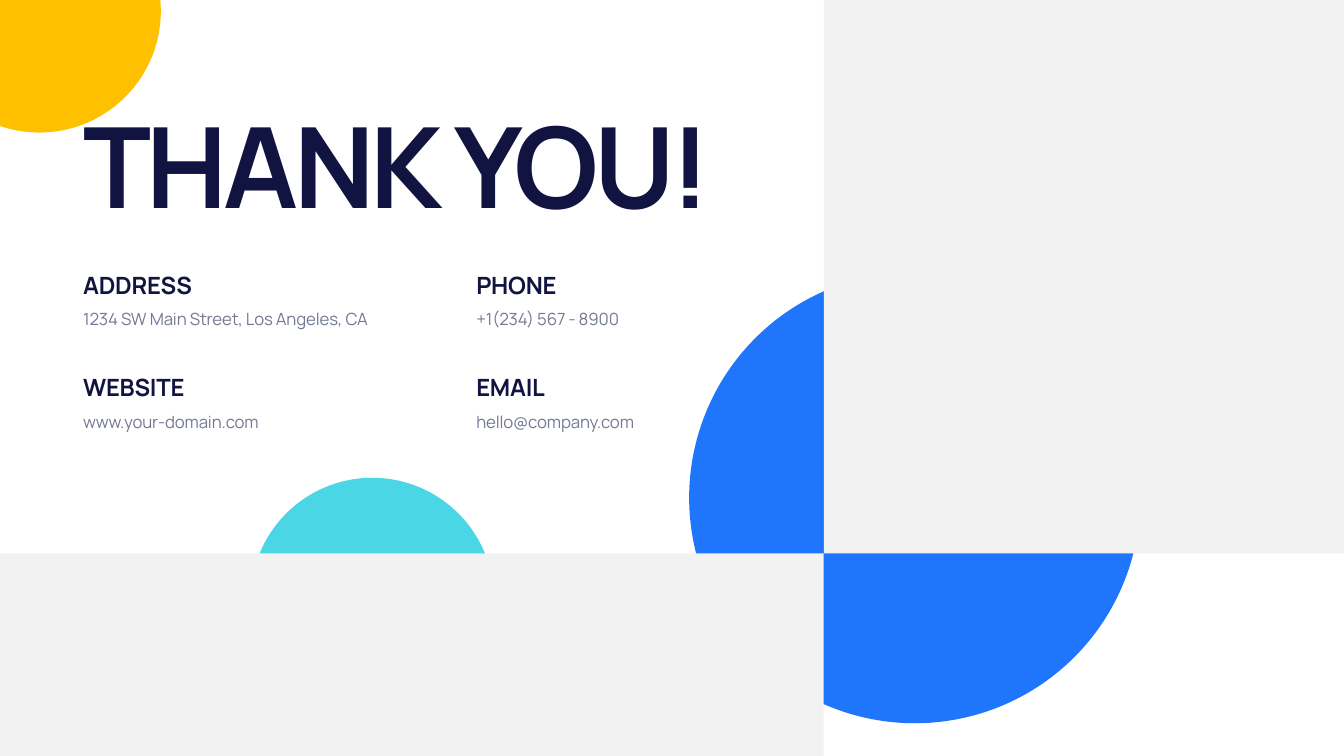
from dataclasses import dataclass
from math import acos, asin, cos, sin

from pptx import Presentation
from pptx.dml.color import RGBColor as RGB
from pptx.enum.shapes import MSO_SHAPE as Preset
from pptx.enum.text import MSO_ANCHOR as Anchor, MSO_AUTO_SIZE as AutoSize, PP_ALIGN as Align
from pptx.util import Inches, Pt


@dataclass(frozen=True)
class TextStyle:
    size: int
    color: str
    bold: bool
    tracking: float  # points
    anchor: Anchor
    inset: float  # inches above and below the text
    leading: int | None = None


@dataclass(frozen=True)
class Theme:
    font: str = "Manrope"
    paper: str = "FFFFFF"
    panel: str = "F2F2F2"
    blue: str = "2075FD"
    yellow: str = "FFC000"
    cyan: str = "4BD6E5"
    title: TextStyle = TextStyle(160, "111340", True, -6, Anchor.BOTTOM, 0)
    label: TextStyle = TextStyle(34, "111340", True, -0.3, Anchor.BOTTOM, 0)
    detail: TextStyle = TextStyle(24, "747994", False, -0.2, Anchor.TOP, 0.05, 36)


@dataclass(frozen=True)
class Box:
    left: float
    top: float
    width: float
    height: float


@dataclass(frozen=True)
class Contact:
    label: str
    detail: str
    column: int
    row: int


THEME = Theme()
WIDTH, HEIGHT = 26.66, 15
SPLIT_X, SPLIT_Y = 16.34, 10.98  # where the four quarters meet
COLUMNS = ((1.55, 6.21), (9.35, 4.4))  # left, width
FIRST_ROW, ROW_PITCH, DETAIL_OFFSET = 5.26, 2.04, 0.72
CONTACTS = (
    Contact("ADDRESS", "1234 SW Main Street, Los Angeles, CA", 0, 0),
    Contact("PHONE", "+1(234) 567 - 8900", 1, 0),
    Contact("WEBSITE", "www.your-domain.com", 0, 1),
    Contact("EMAIL", "hello@company.com", 1, 1),
)


def place(shape, box: Box) -> None:
    shape.left, shape.top = Inches(box.left), Inches(box.top)
    shape.width, shape.height = Inches(box.width), Inches(box.height)


def paint(shape, color: str) -> None:
    shape.shadow.inherit = False
    shape.fill.solid()
    shape.fill.fore_color.rgb = RGB.from_string(color)
    shape.line.fill.background()


def draw_preset(slide, preset: Preset, box: Box, color: str) -> None:
    shape = slide.shapes.add_shape(preset, 0, 0, 0, 0)
    place(shape, box)
    paint(shape, color)


def draw_corner_disc(slide, x: float, y: float, radius: float, color: str, steps: int = 120) -> None:
    """Draw the part of a disc that lies inside the top left corner."""
    start, end = -asin(y / radius), acos(-x / radius)
    angles = [start + (end - start) * step / steps for step in range(steps + 1)]
    rim = [(x + radius * cos(angle), y + radius * sin(angle)) for angle in angles]
    builder = slide.shapes.build_freeform(0, 0, scale=Inches(1) / 1000)
    builder.add_line_segments([(round(px * 1000), round(py * 1000)) for px, py in rim])
    paint(builder.convert_to_shape(), color)


def write(shape, box: Box, text: str, style: TextStyle) -> None:
    place(shape, box)
    frame = shape.text_frame
    frame.word_wrap = True
    frame.auto_size = AutoSize.SHAPE_TO_FIT_TEXT
    frame.vertical_anchor = style.anchor
    frame.margin_top = frame.margin_bottom = Inches(style.inset)
    paragraph = frame.paragraphs[0]
    paragraph.alignment = Align.LEFT
    if style.leading:
        paragraph.line_spacing = Pt(style.leading)
    run = paragraph.add_run()
    run.text = text
    run.font.name, run.font.size, run.font.bold = THEME.font, Pt(style.size), style.bold
    run.font.color.rgb = RGB.from_string(style.color)
    run._r.get_or_add_rPr().set("spc", str(round(style.tracking * 100)))


def draw_contact(slide, contact: Contact) -> None:
    left, width = COLUMNS[contact.column]
    top = FIRST_ROW + contact.row * ROW_PITCH
    label = slide.shapes.add_textbox(0, 0, 0, 0)
    write(label, Box(left, top, width, 0.67), contact.label, THEME.label)
    detail = slide.shapes.add_textbox(0, 0, 0, 0)
    write(detail, Box(left, top + DETAIL_OFFSET, width, 0.58), contact.detail, THEME.detail)


def main() -> None:
    deck = Presentation()
    deck.slide_width, deck.slide_height = Inches(WIDTH), Inches(HEIGHT)
    slide = deck.slides.add_slide(deck.slide_layouts[5])
    slide.background.fill.solid()
    slide.background.fill.fore_color.rgb = RGB.from_string(THEME.paper)

    # Discs, partly covered by the grey panels
    draw_preset(slide, Preset.OVAL, Box(13.67, 5.4, 8.95, 8.95), THEME.blue)
    draw_corner_disc(slide, 0.78, 0.22, 2.41, THEME.yellow)
    draw_preset(slide, Preset.OVAL, Box(4.97, 9.48, 4.83, 4.83), THEME.cyan)

    # Grey panels, top right and bottom left
    panels = (
        Box(SPLIT_X, 0, WIDTH - SPLIT_X, SPLIT_Y),
        Box(0, SPLIT_Y, SPLIT_X, HEIGHT - SPLIT_Y),
    )
    for panel in panels:
        draw_preset(slide, Preset.RECTANGLE, panel, THEME.panel)

    # Title, brought in front of the discs
    title = slide.shapes.title
    slide.shapes._spTree.append(title._element)
    write(title, Box(1.55, 1.7, 13.37, 2.88), "THANK YOU!", THEME.title)

    # Contact details
    for contact in CONTACTS:
        draw_contact(slide, contact)

    deck.save("out.pptx")


if __name__ == "__main__":
    main()
